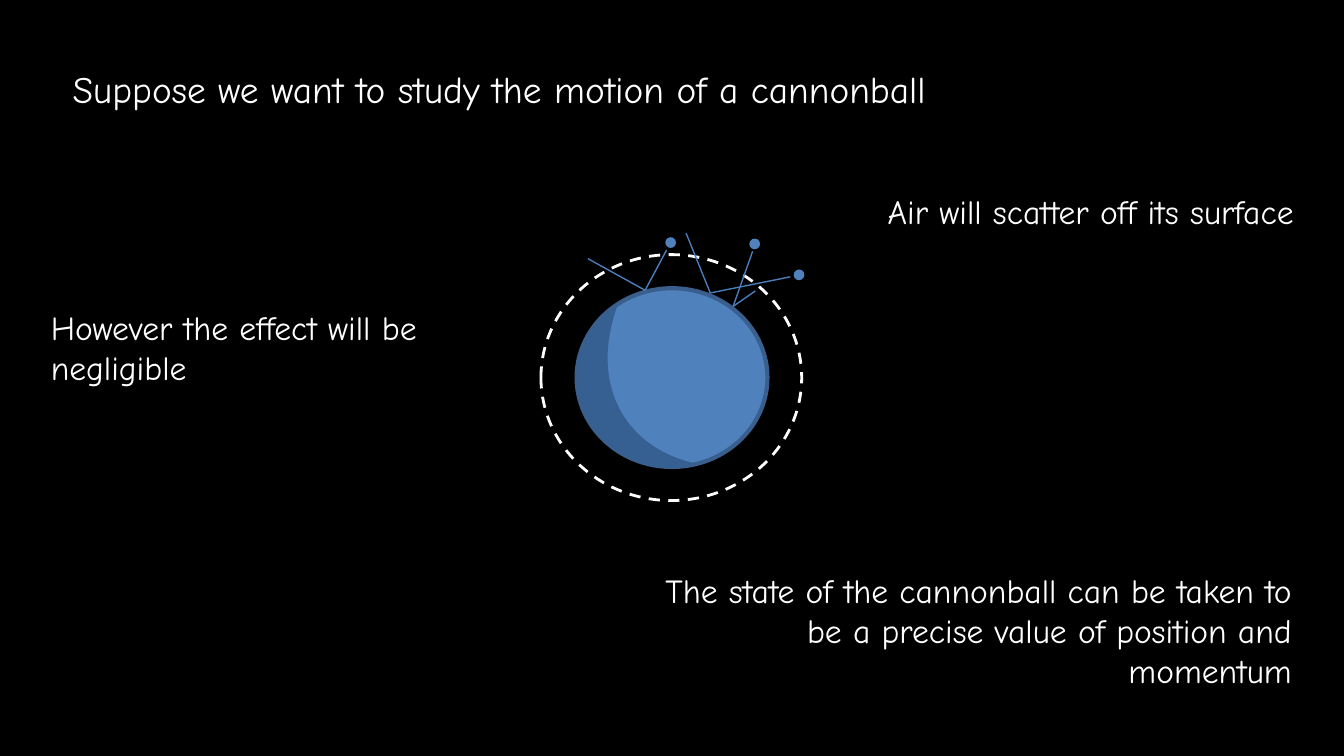
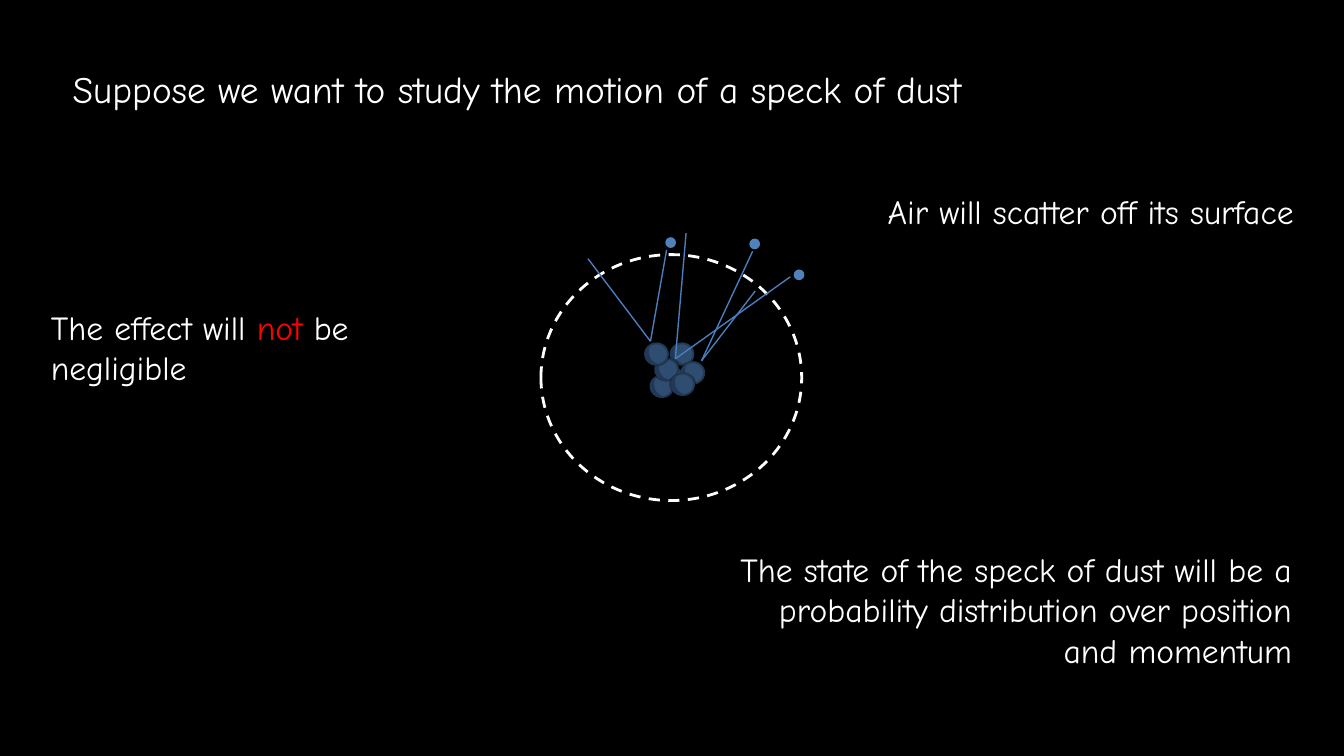
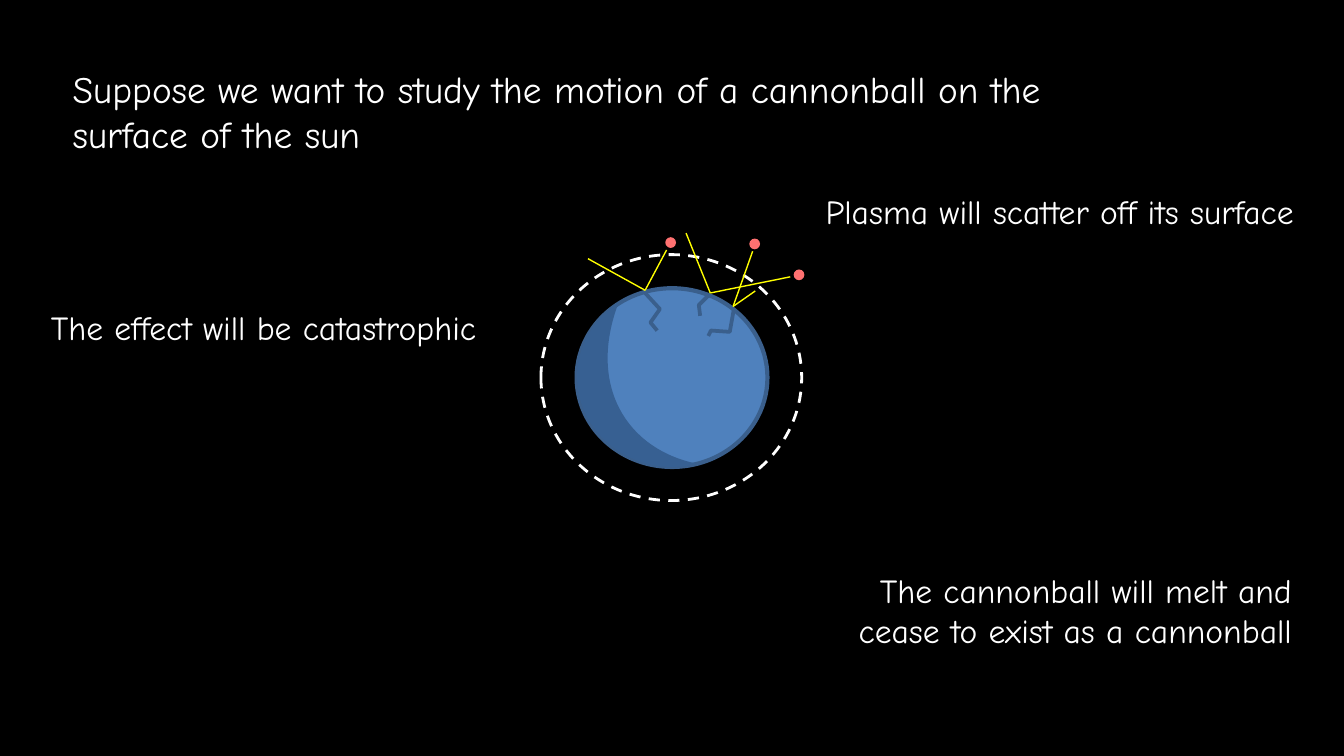
"""Three slides on how scattering disturbs a cannonball, a speck of dust and a melting cannonball."""
from dataclasses import dataclass
from typing import NamedTuple

from lxml import etree
from pptx import Presentation
from pptx.dml.color import RGBColor
from pptx.enum.dml import MSO_LINE
from pptx.enum.shapes import MSO_CONNECTOR, MSO_SHAPE
from pptx.enum.text import MSO_ANCHOR, MSO_AUTO_SIZE, PP_ALIGN
from pptx.oxml.ns import qn
from pptx.util import Inches, Pt

OVAL = MSO_SHAPE.OVAL
STRAIGHT = MSO_CONNECTOR.STRAIGHT
DASH = MSO_LINE.DASH
LEFT, RIGHT = PP_ALIGN.LEFT, PP_ALIGN.RIGHT
TOP = MSO_ANCHOR.TOP
GROW = MSO_AUTO_SIZE.SHAPE_TO_FIT_TEXT

BLACK = RGBColor(0x00, 0x00, 0x00)
WHITE = RGBColor(0xFF, 0xFF, 0xFF)
RED = RGBColor(0xFF, 0x00, 0x00)
YELLOW = RGBColor(0xFF, 0xFF, 0x00)
CORAL = RGBColor(0xFF, 0x71, 0x71)
BLUE = RGBColor(0x4F, 0x81, 0xBD)
TRAIL_BLUE = RGBColor(0x4B, 0x7E, 0xBC)
SHADE_BLUE = RGBColor(0x37, 0x60, 0x92)
RIM_BLUE = RGBColor(0x3A, 0x5F, 0x8C)

FONT = "Comic Neue"
SLIDE_WIDTH = Inches(10)
SLIDE_HEIGHT = SLIDE_WIDTH * 9 // 16
COLUMNS = 100
CELL = SLIDE_WIDTH // COLUMNS


class Point(NamedTuple):
    """A place on the grid, in columns and rows."""
    column: float
    row: float


class Box(NamedTuple):
    """An area of the grid, in columns and rows."""
    column: float
    row: float
    columns: float
    rows: float


class Curve(NamedTuple):
    """A cubic curve's two control points and end, in shares of the crescent's box."""
    pull_out: Point
    pull_in: Point
    end: Point


@dataclass(frozen=True)
class Particle:
    """A scattered particle: where it comes from, flies to and rests."""
    origin: Point
    flight_end: Point
    rest: Point


@dataclass(frozen=True)
class Caption:
    """A remark beside the drawing."""
    text: str
    box: Box
    align: PP_ALIGN = RIGHT
    emphasis: str = ""


@dataclass(frozen=True)
class Scene:
    """Everything that differs from slide to slide."""
    title: str
    title_rows: float
    captions: tuple[Caption, ...]
    hits: tuple[Point, ...]
    particle_color: RGBColor = BLUE
    trail_color: RGBColor = TRAIL_BLUE
    is_dust: bool = False
    cracks: tuple[tuple[Point, ...], ...] = ()


CANNONBALL = Box(42.9, 21.45, 14.2, 13.3)
HALO = Box(40.25, 18.95, 19.4, 18.3)
PARTICLE_SIZE = 0.8
GRAIN_COLUMNS, GRAIN_ROWS = 1.7, 1.6
VEIL_OPACITY = 40

CRESCENT_TOP, CRESCENT_WIDTH, CRESCENT_HEIGHT = 0.08, 0.63, 0.92
LOWER_TIP, SIDE, UPPER_TIP = Point(1, 0.98), Point(0.09, 0.7), Point(0.35, 0)
CRESCENT = (
    Curve(Point(0.64, 1.05), Point(0.26, 0.93), SIDE),
    Curve(Point(-0.09, 0.45), Point(0.02, 0.16), UPPER_TIP),
    Curve(Point(0.09, 0.5), Point(0.41, 0.89), LOWER_TIP),
)

PARTICLES = (
    Particle(Point(43.75, 19.25), Point(49.6, 18.6), Point(49.5, 17.65)),
    Particle(Point(51.05, 17.35), Point(58.8, 20.6), Point(59.05, 20.05)),
    Particle(Point(56.2, 21.65), Point(56, 18.7), Point(55.75, 17.75)),
)
BALL_HITS = (Point(48, 21.6), Point(52.85, 21.8), Point(54.55, 22.8))
DUST_HITS = (Point(48.4, 25.4), Point(50.25, 26.7), Point(52.2, 26.85))

BARE_GRAIN = Point(49.1, 27.3)
BACK_GRAINS = (Point(48.4, 27.95), Point(49.9, 25.55))
FRONT_GRAINS = (Point(48.75, 26.7), Point(48, 25.55), Point(50.7, 26.95), Point(49.95, 27.8))

CRACKS = (
    (Point(48, 21.8), Point(49.1, 23), Point(48.4, 24), Point(48.9, 24.6)),
    (Point(52.7, 22), Point(52, 22.7), Point(52.1, 23.5)),
    (Point(54.6, 23), Point(54.3, 24.7), Point(52.9, 24.6), Point(52.7, 25)),
)

SCATTER_BOX = Box(61.65, 13.7, 35.6, 4)
EFFECT_BOX = Box(2.8, 22.35, 34.4, 7.1)

SCENES = (
    Scene(
        "Suppose we want to study the motion of a cannonball", 4.4,
        (
            Caption("Air will scatter off its surface", SCATTER_BOX),
            Caption("However the effect will be negligible", EFFECT_BOX, LEFT),
            Caption("The state of the cannonball can be taken to be a precise value "
                    "of position and momentum", Box(48, 41.9, 49.1, 7.1)),
        ),
        BALL_HITS,
    ),
    Scene(
        "Suppose we want to study the motion of a speck of dust", 4.4,
        (
            Caption("The state of the speck of dust will be a probability distribution "
                    "over position and momentum", Box(52.9, 40.35, 44.2, 10.1)),
            Caption("Air will scatter off its surface", SCATTER_BOX),
            Caption("The effect will not be negligible", EFFECT_BOX, LEFT, "not"),
        ),
        DUST_HITS, is_dust=True,
    ),
    Scene(
        "Suppose we want to study the motion of a cannonball on the surface of the sun", 7.7,
        (
            Caption("Plasma will scatter off its surface", Box(59.85, 13.7, 37.4, 4)),
            Caption("The effect will be catastrophic", EFFECT_BOX._replace(rows=4), LEFT),
            Caption("The cannonball will melt and cease to exist as a cannonball",
                    Box(57.9, 41.9, 39.2, 7.1)),
        ),
        BALL_HITS, CORAL, YELLOW, cracks=CRACKS,
    ),
)


def cells(*counts: float) -> list[int]:
    """Turn columns or rows into lengths."""
    return [round(count * CELL) for count in counts]


def write(shape, text: str, *, size: float = 18, color: RGBColor = WHITE,
          align: PP_ALIGN = LEFT, emphasis: str = "") -> None:
    """Fill a shape with one paragraph, with an optional word in red."""
    frame = shape.text_frame
    frame.word_wrap = True
    frame.auto_size = GROW
    frame.vertical_anchor = TOP
    paragraph = frame.paragraphs[0]
    paragraph.alignment = align
    parts = text.partition(emphasis) if emphasis else (text,)
    for part in parts:
        run = paragraph.add_run()
        run.text = part
        run.font.name = FONT
        run.font.size = Pt(size)
        run.font.color.rgb = RED if part == emphasis else color


def paint(shape, fill: RGBColor | None = None, line: RGBColor | None = None,
          weight: float = 1) -> None:
    """Set a shape's fill and outline and drop its shadow."""
    shape.shadow.inherit = False
    if fill is None:
        shape.fill.background()
    else:
        shape.fill.solid()
        shape.fill.fore_color.rgb = fill
    if line is None:
        shape.line.fill.background()
    else:
        shape.line.color.rgb = line
        shape.line.width = Pt(weight)


def draw_oval(shapes, box: Box, fill: RGBColor | None = None,
              line: RGBColor | None = None, weight: float = 1):
    """Draw an ellipse that fills a box."""
    oval = shapes.add_shape(OVAL, *cells(*box))
    paint(oval, fill, line, weight)
    return oval


def draw_outline(shapes, points: tuple[Point, ...], close: bool = False):
    """Draw straight edges through grid points."""
    first, *rest = [cells(*point) for point in points]
    builder = shapes.build_freeform(*first)
    builder.add_line_segments(rest, close=close)
    return builder.convert_to_shape()


def add_step(outline, tag: str, points: tuple[Point, ...], width: int, height: int) -> None:
    """Append a drawing step to a freeform's outline."""
    step = etree.SubElement(outline, qn(tag))
    for x, y in points:
        etree.SubElement(step, qn("a:pt"), x=str(round(x * width)), y=str(round(y * height)))


def draw_crescent(shapes, ball: Box) -> None:
    """Draw the shaded crescent along a ball's left side with cubic curves."""
    area = Box(ball.column, ball.row + CRESCENT_TOP * ball.rows,
               CRESCENT_WIDTH * ball.columns, CRESCENT_HEIGHT * ball.rows)
    corners = tuple(Point(area.column + x * area.columns, area.row + y * area.rows)
                    for x, y in (LOWER_TIP, SIDE, UPPER_TIP))
    crescent = draw_outline(shapes, corners, close=True)
    crescent.left, crescent.top, crescent.width, crescent.height = cells(*area)
    size = crescent.width, crescent.height
    outline = crescent._element.spPr.find(f".//{qn('a:path')}")
    for step in list(outline):
        outline.remove(step)
    outline.set("w", str(size[0]))
    outline.set("h", str(size[1]))
    add_step(outline, "a:moveTo", (LOWER_TIP,), *size)
    for curve in CRESCENT:
        add_step(outline, "a:cubicBezTo", curve, *size)
    add_step(outline, "a:close", (), *size)
    paint(crescent, SHADE_BLUE)


def draw_ball(slide, box: Box, weight: float):
    """Draw a ball with a crescent of shade and return its group."""
    ball = slide.shapes.add_group_shape()
    draw_oval(ball.shapes, box, BLUE, RIM_BLUE, weight)
    draw_crescent(ball.shapes, box)
    return ball


def draw_grain(slide, corner: Point, veiled: bool = True) -> None:
    """Draw a dust grain, dimmed by a translucent veil unless bare."""
    grain = draw_ball(slide, Box(*corner, GRAIN_COLUMNS, GRAIN_ROWS), 1)
    if veiled:
        veil = draw_oval(grain.shapes, Box(corner.column - 0.15, corner.row - 0.1, 2, 1.8), BLACK)
        color = veil._element.spPr.find(f".//{qn('a:srgbClr')}")
        etree.SubElement(color, qn("a:alpha"), val=str(VEIL_OPACITY * 1000))


def draw_trail(slide, start: Point, end: Point, color: RGBColor) -> None:
    """Draw one straight leg of a particle's flight."""
    trail = slide.shapes.add_connector(STRAIGHT, *cells(*start, *end))
    trail.line.color.rgb = color
    trail.line.width = Pt(0.75)
    etree.SubElement(trail._element.spPr, qn("a:effectLst"))


def draw_scattering(slide, scene: Scene) -> None:
    """Draw the halo, the particles and their flights."""
    halo = draw_oval(slide.shapes, HALO, line=WHITE, weight=1.5)
    halo.line.dash_style = DASH
    for particle, hit in zip(PARTICLES, scene.hits):
        draw_oval(slide.shapes, Box(*particle.rest, PARTICLE_SIZE, PARTICLE_SIZE),
                  scene.particle_color)
        draw_trail(slide, particle.flight_end, hit, scene.trail_color)
        draw_trail(slide, particle.origin, hit, scene.trail_color)


def build_scene(deck, scene: Scene) -> None:
    """Add one slide."""
    slide = deck.slides.add_slide(deck.slide_layouts.get_by_name("Title Only"))
    title = slide.shapes.title
    title.left, title.top, title.width, title.height = cells(4.4, 4.4, 82.9, scene.title_rows)
    write(title, scene.title, size=20)
    if scene.is_dust:
        draw_grain(slide, BARE_GRAIN, veiled=False)
        for corner in BACK_GRAINS:
            draw_grain(slide, corner)
    else:
        draw_ball(slide, CANNONBALL, 2.25)
    draw_scattering(slide, scene)
    for caption in scene.captions:
        write(slide.shapes.add_textbox(*cells(*caption.box)), caption.text,
              align=caption.align, emphasis=caption.emphasis)
    if scene.is_dust:
        for corner in FRONT_GRAINS:
            draw_grain(slide, corner)
    for crack in scene.cracks:
        paint(draw_outline(slide.shapes, crack), line=RIM_BLUE, weight=2)


def main() -> None:
    """Build and save the deck."""
    deck = Presentation()
    deck.slide_width, deck.slide_height = SLIDE_WIDTH, SLIDE_HEIGHT
    backdrop = deck.slide_master.background.fill
    backdrop.solid()
    backdrop.fore_color.rgb = BLACK
    for scene in SCENES:
        build_scene(deck, scene)
    deck.save("out.pptx")


if __name__ == "__main__":
    main()
